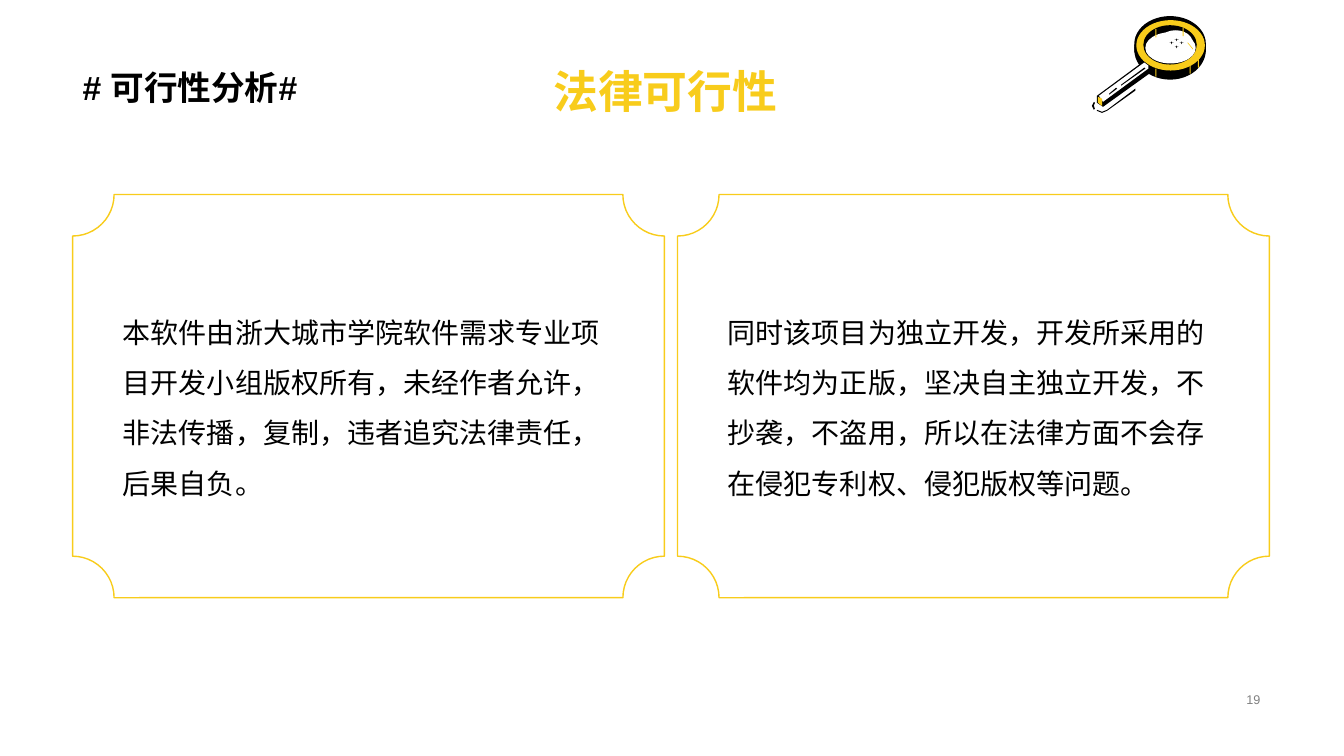
import pptx
import pptx.util
import pptx.dml.color
import pptx.enum.dml
import pptx.enum.lang
import pptx.enum.shapes
import pptx.enum.text
import pptx.oxml

WIDE, HIGH = 13.33, 7.5
COLORS = {"gold": "F8CC1B", "black": "000000", "white": "FFFFFF", "gray": "808080"}
FONT = "Arial"
KIND = pptx.enum.shapes.MSO_SHAPE
ALIGN = pptx.enum.text.PP_ALIGN
ANCHOR = pptx.enum.text.MSO_ANCHOR
inch = pptx.util.Inches

CARDS = [
    "本软件由浙大城市学院软件需求专业项目开发小组版权所有，未经作者允许，非法传播，复制，违者追究法律责任，后果自负。",
    "同时该项目为独立开发，开发所采用的软件均为正版，坚决自主独立开发，不抄袭，不盗用，所以在法律方面不会存在侵犯专利权、侵犯版权等问题。",
]

LENS = [
    (KIND.OVAL, "black", (42, 4, 71, 59)),
    (KIND.RECTANGLE, "black", (42, 28, 71, 8)),
    (KIND.OVAL, "black", (42, 0, 71, 55)),
    (KIND.OVAL, "gold", (44, 4, 68, 50)),
    (KIND.OVAL, "black", (51, 9, 53, 39)),
    (KIND.OVAL, "white", (53, 16, 50, 31)),
    (KIND.OVAL, "white", (66, 14, 34, 25)),
]
TICKS = [(63, 52), (105, 43), (97, 49), (63, 13), (90, 12)]
STARS = [(82, 29), (87, 25), (77, 25), (82, 22)]
HANDLE = [
    ("black", [(5, 79), (51, 45), (57, 49), (57, 57), (11, 90), (5, 86)]),
    ("white", [(7, 79), (52, 46), (56, 49), (56, 52), (11, 85)]),
    ("gold", [(6, 80), (10, 82), (10, 89), (6, 86)]),
    ("black", [(29, 69), (29, 68), (52, 51), (53, 52)]),
    ("black", [(17, 78), (17, 77), (24, 71), (25, 72)]),
    ("black", [(5, 93), (10, 95), (15, 93), (43, 72), (43, 74), (15, 94), (10, 96), (5, 94)]),
    ("black", [(2, 93), (0, 89), (2, 85), (3, 86), (2, 89), (3, 92)]),
    ("gold", [(95, 26), (100, 32), (100, 33), (95, 27)]),
]


def color(name):
    return pptx.dml.color.RGBColor.from_string(COLORS[name])


def write(shape, text, size=20, tint="black", bold=False, align=ALIGN.LEFT,
          anchor=ANCHOR.TOP, space=1.0):
    frame = shape.text_frame
    frame.word_wrap = True
    frame.auto_size = pptx.enum.text.MSO_AUTO_SIZE.NONE
    frame.vertical_anchor = anchor
    line = frame.paragraphs[0]
    line.alignment, line.line_spacing = align, space
    run = line.add_run()
    run.text = text
    font = run.font
    font.size, font.bold, font.name = pptx.util.Pt(size), bold, FONT
    font.color.rgb = color(tint)
    font.language_id = pptx.enum.lang.MSO_LANGUAGE_ID.SIMPLIFIED_CHINESE
    east = pptx.oxml.parse_xml(
        '<a:ea xmlns:a="http://schemas.openxmlformats.org/drawingml/2006/main" '
        f'typeface="{FONT}"/>')
    run._r.get_or_add_rPr().append(east)


def label(slide, box, text, **style):
    write(slide.shapes.add_textbox(*map(inch, box)), text, **style)


def paint(shape, tint):
    shape.shadow.inherit = False
    shape.fill.solid()
    shape.fill.fore_color.rgb = color(tint)
    shape.line.fill.background()


def header(slide, box):
    left, top, width, height = box
    title = slide.shapes.title
    title.left, title.top = inch(left), inch(top + 0.58)
    title.width, title.height = inch(width), inch(0.64)
    write(title, "法律可行性", size=32, tint="gold", bold=True,
          align=ALIGN.CENTER, anchor=ANCHOR.MIDDLE)
    label(slide, (left + 0.06, top, width, height), "# 可行性分析#", size=24,
          bold=True, anchor=ANCHOR.BOTTOM, space=0.9)


def card(slide, box, text):
    left, top, width, height = box
    frame = slide.shapes.add_shape(KIND.PLAQUE, *map(inch, box))
    frame.adjustments[0] = 0.103
    frame.shadow.inherit = False
    frame.fill.background()
    frame.line.color.rgb = color("gold")
    frame.line.width = pptx.util.Pt(1)
    label(slide, (left + 0.4, top + 0.98, 5.05, 2.06), text, space=1.5)


def cards(slide, box, gap=0.13):
    left, top, width, height = box
    wide = (width - gap) / len(CARDS)
    for col, text in enumerate(CARDS):
        card(slide, (left + col * (wide + gap), top, wide, height), text)


def glass(slide, box, cols=113, rows=96):
    left, top, width, height = box
    unit = width / cols, height / rows
    shapes = slide.shapes.add_group_shape().shapes
    parts = LENS + [(KIND.RECTANGLE, "gold", (x, y, 1, 8)) for x, y in TICKS]
    parts += [(KIND.STAR_4_POINT, "black", (x, y, 4, 3)) for x, y in STARS]
    for kind, tint, (x, y, wide, high) in parts:
        place = (left + x * unit[0], top + y * unit[1], wide * unit[0], high * unit[1])
        paint(shapes.add_shape(kind, *map(inch, place)), tint)
    for tint, points in HANDLE:
        scale = tuple(float(inch(side)) for side in unit)
        path = shapes.build_freeform(*points[0], scale=scale)
        path.add_line_segments(points[1:], close=True)
        paint(path.convert_to_shape(inch(left), inch(top)), tint)


def main():
    deck = pptx.Presentation()
    deck.slide_width, deck.slide_height = inch(WIDE), inch(HIGH)
    slide = deck.slides.add_slide(deck.slide_layouts[5])
    header(slide, (0.66, 0, 11.88, 1.12))
    cards(slide, (0.72, 1.93, 11.87, 4))
    glass(slide, (10.83, 0.16, 1.13, 0.96))
    label(slide, (9.81, 6.82, 2.79, 0.23), "19", size=9, tint="gray",
          align=ALIGN.RIGHT, anchor=ANCHOR.MIDDLE)
    deck.save("out.pptx")


if __name__ == "__main__":
    main()
